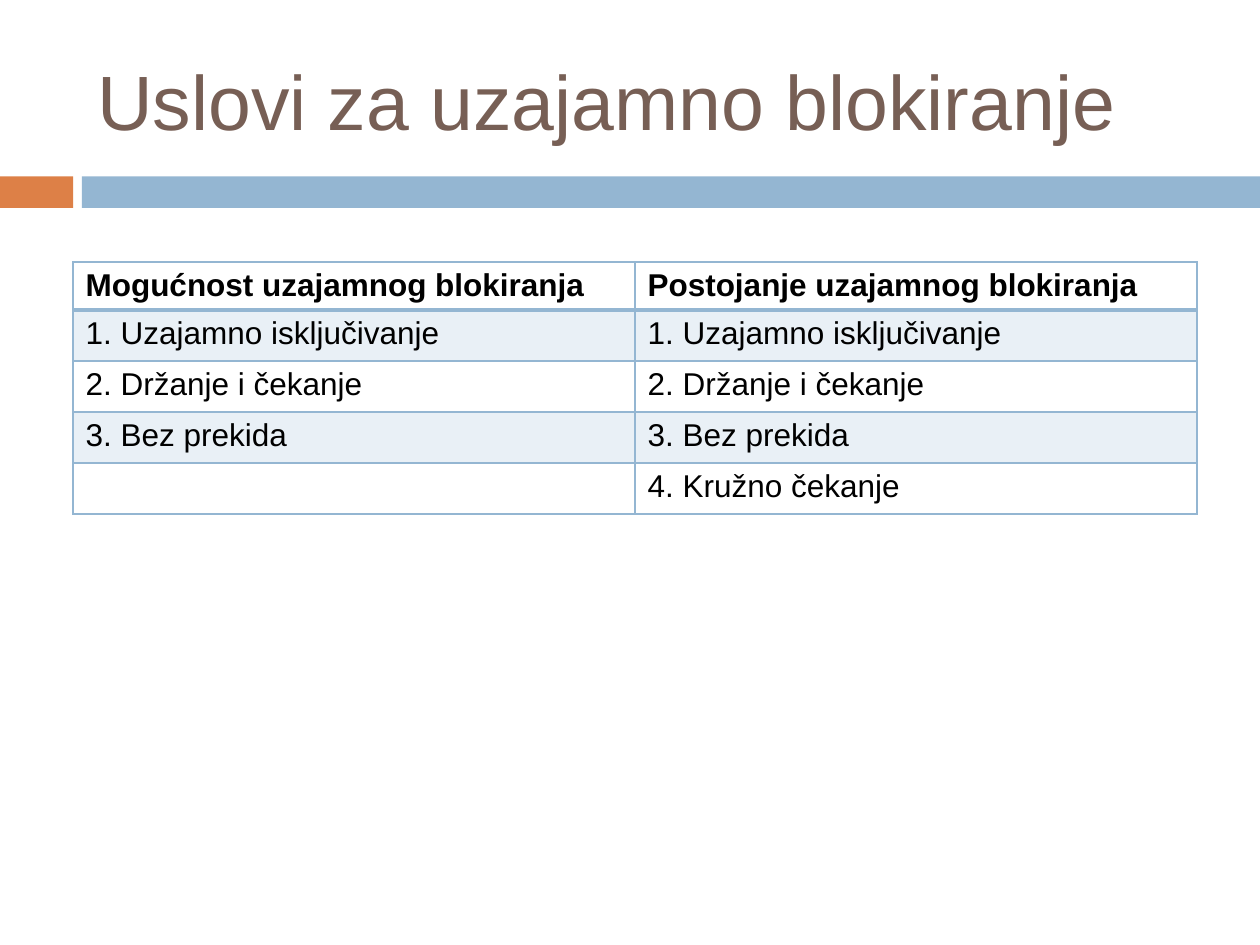
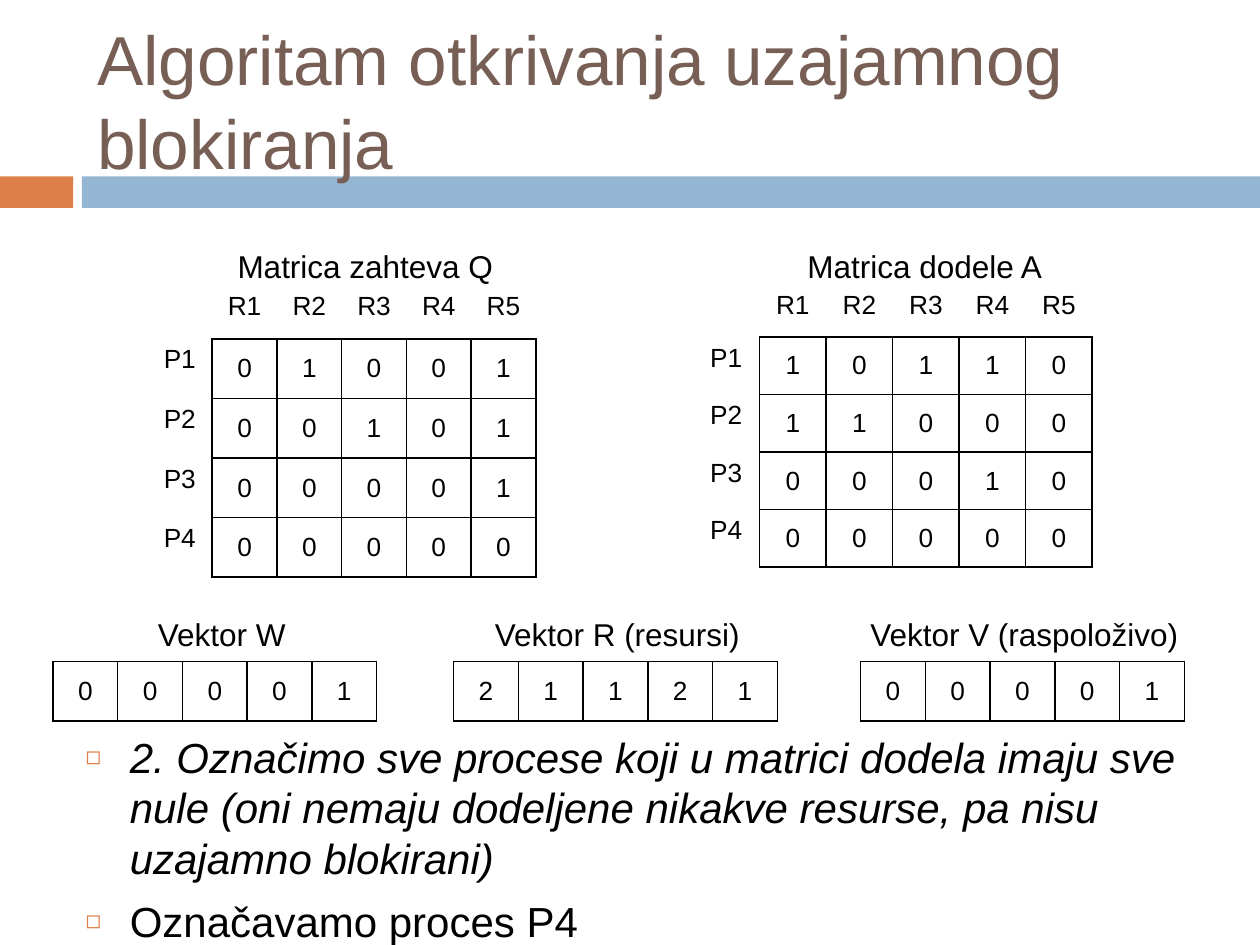
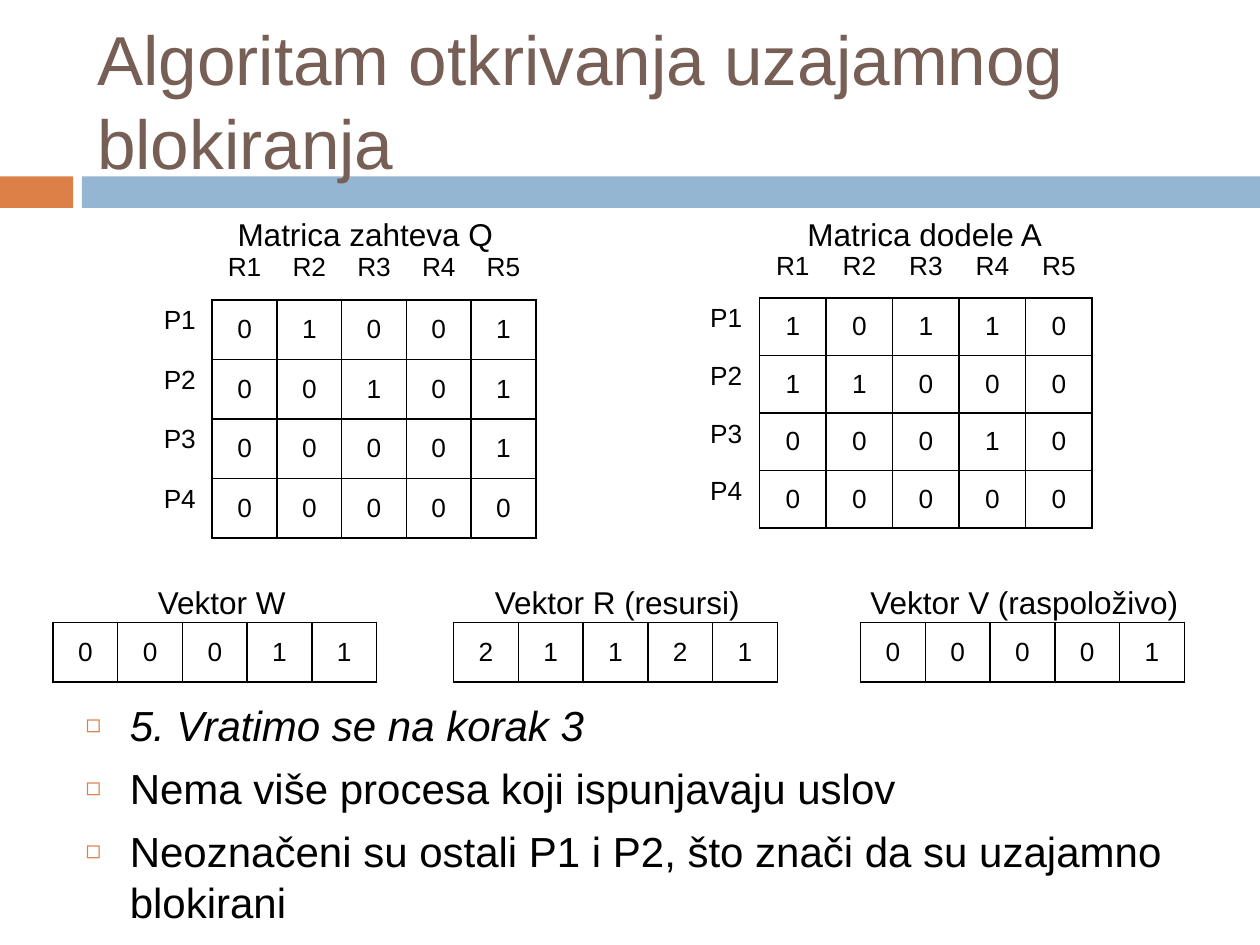
from lxml.etree import SubElement
from pptx import Presentation
from pptx.dml.color import RGBColor
from pptx.enum.shapes import MSO_SHAPE
from pptx.enum.text import MSO_ANCHOR, MSO_AUTO_SIZE, PP_ALIGN
from pptx.oxml.ns import qn
from pptx.util import Inches, Pt

FONT = "Arial"
BLACK = "000000"
BROWN = "775F55"
ORANGE = "DD8047"
BLUE = "94B6D2"

RESOURCES = ["R1", "R2", "R3", "R4", "R5"]
PROCESSES = ["P1", "P2", "P3", "P4"]
REQUESTS = ["01001", "00101", "00001", "00000"]
ALLOCATIONS = ["10110", "11000", "00010", "00000"]
CONDITIONS = [
    ("Mogućnost uzajamnog blokiranja", "Postojanje uzajamnog blokiranja"),
    ("1. Uzajamno isključivanje", "1. Uzajamno isključivanje"),
    ("2. Držanje i čekanje", "2. Držanje i čekanje"),
    ("3. Bez prekida", "3. Bez prekida"),
    ("", "4. Kružno čekanje"),
]
DETECTION_TITLE = "Algoritam otkrivanja uzajamnog blokiranja"


def rgb(value):
    return RGBColor.from_string(value)


def set_font(paragraph, size, color=BLACK, bold=False, italic=False):
    font = paragraph.font
    font.name = FONT
    font.size = Pt(size)
    font.color.rgb = rgb(color)
    font.bold = bold
    font.italic = italic


def place(element, left, top, width, height):
    element.left, element.top = Inches(left), Inches(top)
    element.width, element.height = Inches(width), Inches(height)


def add_master_bands(prs, slide):
    for left, width, color in ((0, 0.58, ORANGE), (0.65, 9.35, BLUE)):
        band = slide.shapes.add_shape(
            MSO_SHAPE.RECTANGLE, Inches(left), Inches(1.4), Inches(width), Inches(0.25))
        band.shadow.inherit = False
        band.fill.solid()
        band.fill.fore_color.rgb = rgb(color)
        band.line.fill.background()
        prs.slide_master.shapes.element.insert(2, band.element)


def set_title(slide, text, size, line_pitch=None):
    title = slide.shapes.title
    place(title, 0.67, 0.25, 8.92, 1.08)
    frame = title.text_frame
    frame.text = text
    frame.auto_size = MSO_AUTO_SIZE.NONE
    frame.vertical_anchor = MSO_ANCHOR.MIDDLE
    heading = frame.paragraphs[0]
    heading.alignment = PP_ALIGN.LEFT
    if line_pitch:
        heading.line_spacing = Pt(line_pitch)
    set_font(heading, size, BROWN)


def add_bullet(paragraph):
    properties = paragraph._p.get_or_add_pPr()
    properties.set("marL", str(Inches(0.35)))
    properties.set("indent", str(Inches(-0.35)))
    SubElement(SubElement(properties, qn("a:buClr")), qn("a:srgbClr"), val=ORANGE)
    SubElement(properties, qn("a:buSzPct"), val="60000")
    SubElement(properties, qn("a:buChar"), char="◻")


def fill_steps(slide, top, steps):
    body = slide.placeholders[1]
    place(body, 0.58, top, 9.33, 7.5 - top)
    frame = body.text_frame
    frame.auto_size = MSO_AUTO_SIZE.NONE
    for index, step in enumerate(steps):
        paragraph = frame.paragraphs[0] if index == 0 else frame.add_paragraph()
        paragraph.text = step
        add_bullet(paragraph)
        paragraph.line_spacing = Pt(29)
        paragraph.space_before = Pt(7 if index else 0)
        set_font(paragraph, 24, italic=index == 0)


def add_caption(slide, text, center, middle):
    width, height = 3, 0.4
    caption = slide.shapes.add_textbox(
        Inches(center - width / 2), Inches(middle - height / 2), Inches(width), Inches(height))
    frame = caption.text_frame
    frame.word_wrap = True
    frame.vertical_anchor = MSO_ANCHOR.MIDDLE
    frame.text = text
    frame.paragraphs[0].alignment = PP_ALIGN.CENTER
    set_font(frame.paragraphs[0], 18)


def set_borders(cell, color, widths):
    properties = cell._tc.get_or_add_tcPr()
    for position, side in enumerate("LRTB"):
        width = widths.get(side, 0)
        border = SubElement(properties, qn(f"a:ln{side}"), w=str(Pt(width)))
        if width:
            SubElement(SubElement(border, qn("a:solidFill")), qn("a:srgbClr"), val=color)
        else:
            SubElement(border, qn("a:noFill"))
        properties.insert(position, border)


def tint(cell, color, percent):
    cell.fill.solid()
    cell.fill.fore_color.rgb = rgb(color)
    shade = cell._tc.tcPr.find(".//" + qn("a:srgbClr"))
    SubElement(shade, qn("a:alpha"), val=str(percent * 1000))


def add_grid(slide, left, top, column_width, row_heights, column_count):
    table = slide.shapes.add_table(
        len(row_heights), column_count, Inches(left), Inches(top),
        Inches(column_width * column_count), Inches(sum(row_heights))).table
    table.first_row = table.horz_banding = False
    for column in table.columns:
        column.width = Inches(column_width)
    for row, height in zip(table.rows, row_heights):
        row.height = Inches(height)
    for cell in table.iter_cells():
        cell.fill.background()
    return table


def write_number_cell(cell, text, sides="LRTB", anchor=MSO_ANCHOR.MIDDLE):
    if text:
        cell.text = text
        cell.vertical_anchor = anchor
        paragraph = cell.text_frame.paragraphs[0]
        paragraph.alignment = PP_ALIGN.CENTER
        set_font(paragraph, 15)
    set_borders(cell, BLACK, dict.fromkeys(sides, 1))


def add_matrix(slide, left, top, column_width, header_height, row_height, rows):
    heights = [header_height] + [row_height] * len(rows)
    table = add_grid(slide, left, top, column_width, heights, len(RESOURCES) + 1)
    write_number_cell(table.cell(0, 0), "", sides="")
    for column, resource in enumerate(RESOURCES, 1):
        write_number_cell(table.cell(0, column), resource, sides="B")
    for row, (process, values) in enumerate(zip(PROCESSES, rows), 1):
        write_number_cell(table.cell(row, 0), process, sides="R", anchor=MSO_ANCHOR.TOP)
        for column, value in enumerate(values, 1):
            write_number_cell(table.cell(row, column), value)


def add_vector(slide, left, top, values):
    table = add_grid(slide, left, top, 0.514, [0.473], len(values))
    for column, value in enumerate(values):
        write_number_cell(table.cell(0, column), value)


def add_conditions(slide):
    table = add_grid(slide, 0.58, 2.08, 4.46, [0.32] + [0.405] * 4, 2)
    for row, texts in enumerate(CONDITIONS):
        for column, text in enumerate(texts):
            cell = table.cell(row, column)
            if text:
                cell.text = text
                set_font(cell.text_frame.paragraphs[0], 18, bold=row == 0)
            if row % 2:
                tint(cell, BLUE, 20)
            set_borders(cell, BLUE, {
                "L": 1, "R": 1, "T": 2 if row == 1 else 1, "B": 2 if row == 0 else 1})


def add_detection_slide(prs, matrix_top, caption_middle, vector_w, steps_top, steps):
    slide = prs.slides.add_slide(prs.slide_layouts[1])
    set_title(slide, DETECTION_TITLE, 39.6, line_pitch=48)
    fill_steps(slide, steps_top, steps)
    add_caption(slide, "Matrica zahteva Q", 2.9, caption_middle)
    add_caption(slide, "Matrica dodele A", 7.34, caption_middle)
    add_matrix(slide, 1.17, matrix_top, 0.514, 0.52, 0.473, REQUESTS)
    add_matrix(slide, 5.5, matrix_top, 0.528, 0.505, 0.457, ALLOCATIONS)
    vectors = (
        ("Vektor W", 1.76, 0.42, vector_w),
        ("Vektor R (resursi)", 4.9, 3.6, "21121"),
        ("Vektor V (raspoloživo)", 8.13, 6.83, "00001"),
    )
    for name, center, left, values in vectors:
        add_caption(slide, name, center, caption_middle + 2.92)
        add_vector(slide, left, matrix_top + 3.08, values)


def main():
    prs = Presentation()
    prs.slide_width, prs.slide_height = Inches(10), Inches(7.5)
    conditions = prs.slides.add_slide(prs.slide_layouts[5])
    add_master_bands(prs, conditions)
    set_title(conditions, "Uslovi za uzajamno blokiranje", 44)
    add_conditions(conditions)
    add_detection_slide(prs, 2.17, 2.11, "00001", 5.75, [
        "2. Označimo sve procese koji u matrici dodela imaju sve nule "
        "(oni nemaju dodeljene nikakve resurse, pa nisu uzajamno blokirani)",
        "Označavamo proces P4",
    ])
    add_detection_slide(prs, 1.86, 1.86, "00011", 5.5, [
        "5. Vratimo se na korak 3",
        "Nema više procesa koji ispunjavaju uslov",
        "Neoznačeni su ostali P1 i P2, što znači da su uzajamno blokirani",
    ])
    prs.save("out.pptx")


if __name__ == "__main__":
    main()
